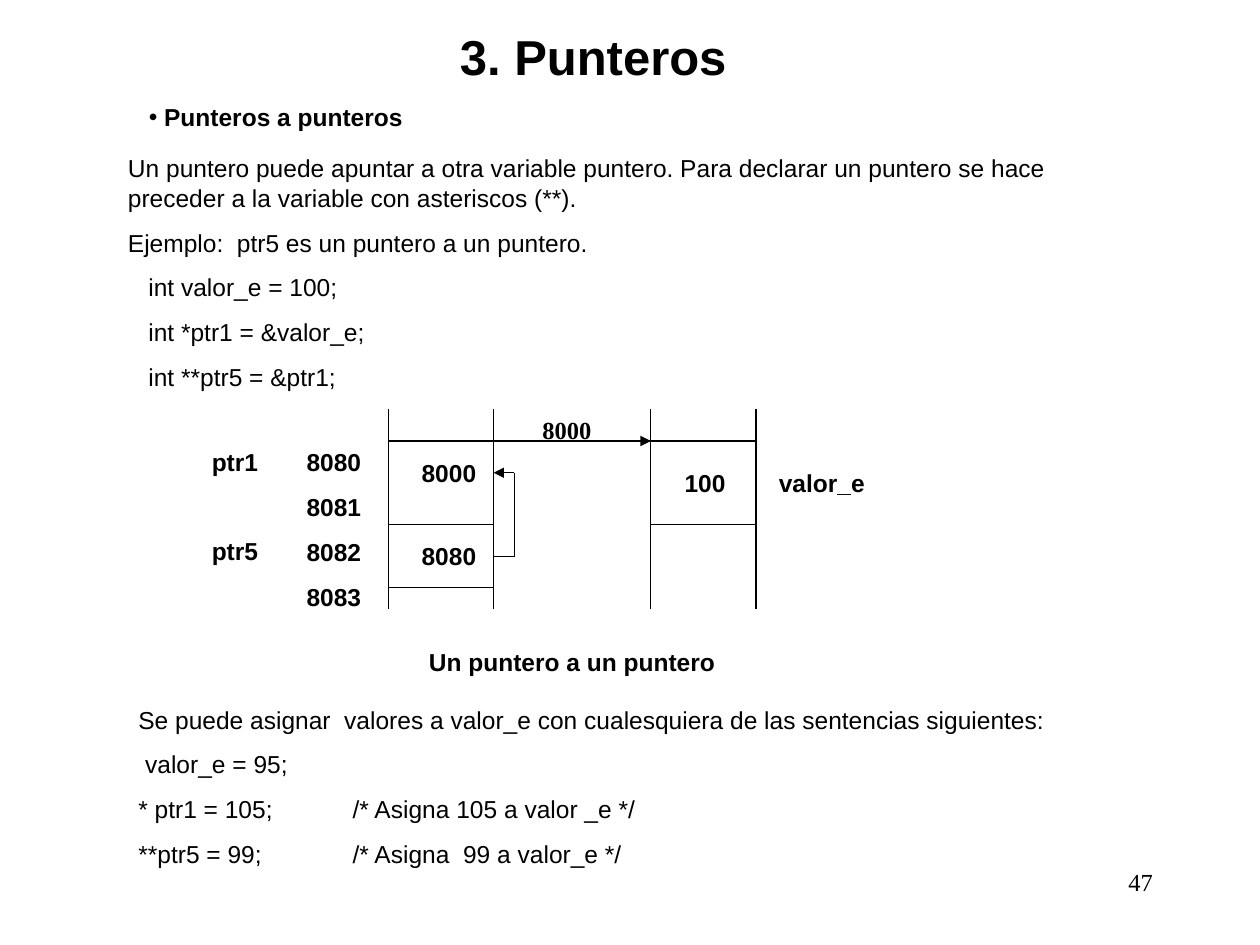
from dataclasses import dataclass

from lxml import etree
from pptx import Presentation
from pptx.dml.color import RGBColor
from pptx.enum.shapes import MSO_CONNECTOR
from pptx.enum.text import MSO_AUTO_SIZE, PP_ALIGN
from pptx.oxml.ns import qn
from pptx.util import Cm, Pt

STRAIGHT = MSO_CONNECTOR.STRAIGHT
GROW = MSO_AUTO_SIZE.SHAPE_TO_FIT_TEXT
LEFT, CENTER, RIGHT = PP_ALIGN.LEFT, PP_ALIGN.CENTER, PP_ALIGN.RIGHT
RIGHT_SIDE = 3


@dataclass(frozen=True)
class Theme:
    ink: RGBColor = RGBColor(0, 0, 0)
    sans: str = "Arial"
    serif: str = "Times New Roman"
    title: Pt = Pt(28)
    body: Pt = Pt(14)
    gap: Pt = Pt(8.8)
    rule: Pt = Pt(0.75)


THEME = Theme()


def add_text(shapes, place, lines, bold=False, align=LEFT,
             size=THEME.body, face=THEME.sans, gap=THEME.gap):
    """Add a text box at place (left, top, width, height in cm), one paragraph per line."""
    box = shapes.add_textbox(*(Cm(length) for length in place))
    frame = box.text_frame
    frame.word_wrap = True
    frame.auto_size = GROW
    for index, line in enumerate(lines):
        paragraph = frame.paragraphs[0] if index == 0 else frame.add_paragraph()
        paragraph.alignment = align
        if index:
            paragraph.space_before = gap
        run = paragraph.add_run()
        run.text = line
        run.font.name = face
        run.font.size = size
        run.font.bold = bold
        run.font.color.rgb = THEME.ink
    return box


def add_line(shapes, x1, y1, x2, y2, arrow=False):
    line = shapes.add_connector(STRAIGHT, Cm(x1), Cm(y1), Cm(x2), Cm(y2))
    line.line.color.rgb = THEME.ink
    line.line.width = THEME.rule
    if arrow:
        etree.SubElement(line.line._get_or_add_ln(), qn("a:tailEnd"), type="triangle")
    etree.SubElement(line._element.spPr, qn("a:effectLst"))
    return line


deck = Presentation()
deck.slide_width, deck.slide_height = Cm(25.4), Cm(19.05)
slide = deck.slides.add_slide(deck.slide_layouts[6])

# Heading and explanation
add_text(slide.shapes, (7.41, 0.42, 9.1, 1.45), ["3. Punteros"],
         bold=True, align=CENTER, size=THEME.title)

topic = add_text(slide.shapes, (2.12, 1.94, 18.6, 0.86), ["Punteros a punteros"], bold=True)
topic_format = topic.text_frame.paragraphs[0]._p.get_or_add_pPr()
topic_format.set("marL", str(Cm(0.94)))
topic_format.set("indent", str(-Cm(0.31)))
etree.SubElement(topic_format, qn("a:buFont"), typeface=THEME.sans)
etree.SubElement(topic_format, qn("a:buChar"), char="•")

add_text(slide.shapes, (2.33, 2.97, 20.11, 5.05), [
    "Un puntero puede apuntar a otra variable puntero. Para declarar un puntero "
    "se hace preceder a la variable con asteriscos (**).",
    "Ejemplo:  ptr5 es un puntero a un puntero.",
    "   int valor_e = 100;",
    "   int *ptr1 = &valor_e;",
    "   int **ptr5 = &ptr1;",
])

# Memory diagram: a column of pointers and a column holding the value
diagram = slide.shapes.add_group_shape().shapes
pointer_left, pointer_right = 7.83, 9.95
value_left, value_right = 13.12, 15.24
column_top, column_bottom = 8.25, 12.28
first_row, second_row, last_row = 8.89, 10.58, 11.85

for x in (pointer_left, pointer_right, value_left, value_right):
    add_line(diagram, x, column_top, x, column_bottom)
add_line(diagram, pointer_left, first_row, value_right, first_row)
add_line(diagram, pointer_left, first_row, value_left, first_row, arrow=True)
for left, right, y in ((pointer_left, pointer_right, second_row),
                       (value_left, value_right, second_row),
                       (pointer_left, pointer_right, last_row)):
    add_line(diagram, left, y, right, y)

cell_left, cell_height = 8.25, 0.86
ptr1_y, ptr5_y = 9.53, 11.22
ptr1_cell, ptr5_cell = (
    add_text(diagram, (cell_left, y - cell_height / 2, pointer_right - cell_left, cell_height),
             [address], bold=True)
    for y, address in ((ptr1_y, "8000"), (ptr5_y, "8080"))
)

bend_x = 10.37
from_ptr5 = add_line(diagram, pointer_right, ptr5_y, bend_x, ptr5_y)
from_ptr5.begin_connect(ptr5_cell, RIGHT_SIDE)
add_line(diagram, bend_x, ptr5_y, bend_x, ptr1_y)
to_ptr1 = add_line(diagram, bend_x, ptr1_y, pointer_right, ptr1_y, arrow=True)
to_ptr1.end_connect(ptr1_cell, RIGHT_SIDE)

add_text(diagram, (13.55, 9.31, 1.48, cell_height), ["100"], bold=True)
add_text(diagram, (15.45, 9.31, 3.6, cell_height), ["valor_e"], bold=True)
add_text(diagram, (5.93, first_row, 1.9, 3.56), ["8080", "8081", "8082", "8083"], bold=True)
# ptr5 sits two address rows below ptr1
add_text(diagram, (4.02, first_row, 1.9, 3.56), ["ptr1", "ptr5"], bold=True, gap=Pt(33.7))
add_text(diagram, (bend_x, column_top, 2.12, cell_height), ["8000"],
         bold=True, align=CENTER, face=THEME.serif)

# Caption and assignments
add_text(slide.shapes, (7.41, 12.91, 8.25, 0.86), ["Un puntero a un puntero"],
         bold=True, align=CENTER)
assignments = add_text(slide.shapes, (2.54, 14.08, 19.47, 4.47), [
    "Se puede asignar  valores a valor_e con cualesquiera de las sentencias siguientes:",
    " valor_e = 95;",
    "* ptr1 = 105;\t/* Asigna 105 a valor _e */",
    "**ptr5 = 99;\t/* Asigna  99 a valor_e */",
])
for statement in assignments.text_frame.paragraphs[2:]:
    tabs = etree.SubElement(statement._p.get_or_add_pPr(), qn("a:tabLst"))
    etree.SubElement(tabs, qn("a:tab"), pos=str(Cm(4.32)), algn="l")

add_text(slide.shapes, (18.2, 17.36, 5.29, 1.27), ["47"], align=RIGHT, face=THEME.serif)

deck.save("out.pptx")
